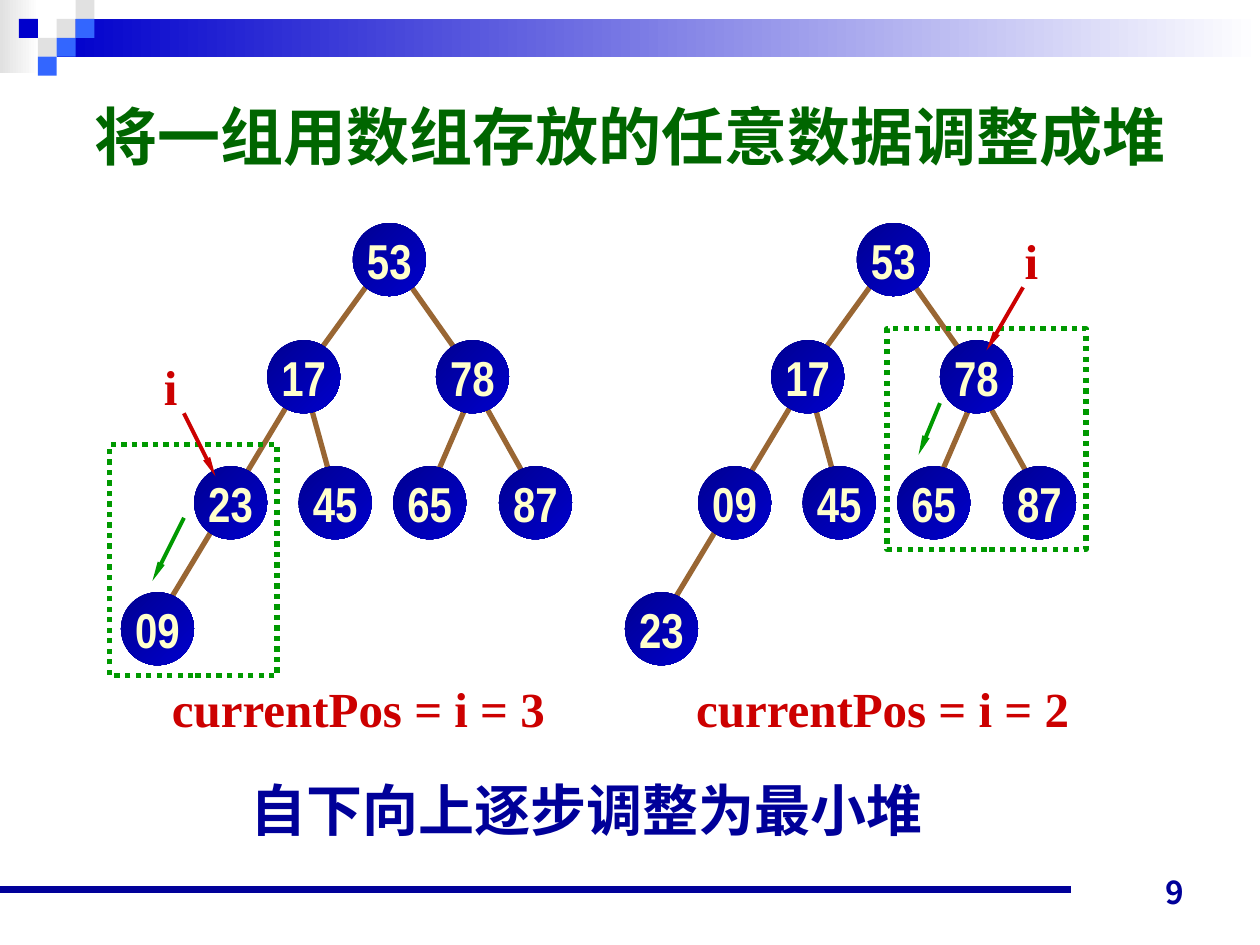
from dataclasses import dataclass

from lxml import etree
from pptx import Presentation
from pptx import util as u
from pptx.dml import color
from pptx.enum import dml, shapes, text
from pptx.oxml import ns

I = u.Inches
RECT = shapes.MSO_SHAPE.RECTANGLE
OVAL = shapes.MSO_SHAPE.OVAL
LEFT, MID, RIGHT = text.PP_ALIGN.LEFT, text.PP_ALIGN.CENTER, text.PP_ALIGN.RIGHT


@dataclass(frozen=True)
class Theme:
    navy: str = "000099"
    deep: str = "000092"
    blue: str = "0000CC"
    sky: str = "3366FF"
    gray: str = "E1E1E1"
    white: str = "FFFFFF"
    cream: str = "FFFFCC"
    brown: str = "996633"
    red: str = "CC0000"
    green: str = "009900"
    dark: str = "006600"
    serif: str = "Times New Roman"
    sans: str = "Arial"
    slim: str = "Arial Narrow"
    cjk: str = "Noto Sans CJK JP"
    head: int = 36
    note: int = 32
    label: int = 28
    page: int = 18


T = Theme()


def rgb(tone):
    return color.RGBColor.from_string(tone)


def write(frame, words, size, face, tone, align=LEFT, wrap=True):
    frame.word_wrap = wrap
    frame.auto_size = text.MSO_AUTO_SIZE.NONE
    frame.vertical_anchor = text.MSO_ANCHOR.MIDDLE
    frame.text = words
    para = frame.paragraphs[0]
    para.alignment = align
    font = para.font
    font.size, font.name, font.bold = u.Pt(size), face, True
    font.color.rgb = rgb(tone)


def label(slide, box, words, *style, **opts):
    frame = slide.shapes.add_textbox(*map(I, box)).text_frame
    write(frame, words, *style, **opts)
    return frame


def block(slide, kind, box, tones=(), angle=0):
    shape = slide.shapes.add_shape(kind, *map(I, box))
    shape.shadow.inherit = False
    shape.line.fill.background()
    fill = shape.fill
    if not tones:
        fill.background()
    elif len(tones) == 1:
        fill.solid()
        fill.fore_color.rgb = rgb(tones[0])
    else:
        fill.gradient()
        fill.gradient_angle = angle
        for stop, tone in zip(fill.gradient_stops, tones):
            stop.color.rgb = rgb(tone)
    return shape


def line(slide, ends, tone, width, arrow=False):
    link = slide.shapes.add_connector(shapes.MSO_CONNECTOR.STRAIGHT, *map(I, ends))
    link.line.color.rgb = rgb(tone)
    link.line.width = u.Pt(width)
    props = link.element.spPr
    if arrow:
        etree.SubElement(link.line._get_or_add_ln(), ns.qn("a:tailEnd"),
                         type="triangle", w="sm", len="lg")
    etree.SubElement(props, ns.qn("a:effectLst"))


def shift(ends, x, y):
    x1, y1, x2, y2 = ends
    return x + x1, y + y1, x + x2, y + y2


def banner(slide, box):
    x, y, wide = box
    cell = 0.15
    block(slide, RECT, (x, y, 0.31, 0.58), (T.gray, T.white))
    block(slide, RECT, (x + 0.45, y + cell, wide - 0.45, 2 * cell), (T.blue, T.white))
    tiles = [(3, 1, T.gray), (4, 0, T.gray), (4, 1, T.sky), (2, 2, T.gray),
             (1, 1, T.blue), (3, 2, T.sky), (2, 3, T.sky)]
    for col, row, tone in tiles:
        block(slide, RECT, (x + col * cell, y + row * cell, cell, cell), (tone,))


def heading(slide, box, words):
    title = slide.shapes.title
    title.left, title.top, title.width, title.height = map(I, box)
    write(title.text_frame, words, T.head, T.sans, T.dark)


def tree(slide, box, values):
    x, y = box
    edges = [(2.83, 1.34, 3.25, 2.09), (2.75, 1.43, 2.5, 2.01),
             (2.25, 0.43, 2.66, 1.01), (1.5, 1.43, 1.66, 2.01),
             (2, 0.43, 1.58, 1.01), (1.33, 1.43, 0.33, 3.09)]
    spots = [(1.84, 0), (1.16, 0.93), (2.5, 0.93), (0.58, 1.93),
             (1.41, 1.93), (2.16, 1.93), (3, 1.93), (0, 2.93)]
    for ends in edges:
        line(slide, shift(ends, x, y), T.brown, 3)
    for (dx, dy), value in zip(spots, values):
        node = block(slide, OVAL, (x + dx, y + dy, 0.58, 0.58), (T.deep, T.blue), 315)
        write(node.text_frame, value, T.label, T.slim, T.cream, MID, wrap=False)


def focus(slide, box, spot, point, swap):
    x, y = box[:2]
    frame = block(slide, RECT, box)
    frame.line.color.rgb = rgb(T.green)
    frame.line.width = u.Pt(3)
    frame.line.dash_style = dml.MSO_LINE.ROUND_DOT
    line(slide, shift(point, x, y), T.red, 2.25, arrow=True)
    line(slide, shift(swap, x, y), T.green, 2.25, arrow=True)
    label(slide, (x + spot[0], y + spot[1], 0.31, 0.57), "i",
          T.label, T.serif, T.red, MID, wrap=False)


def footer(slide, box, page):
    x, y, wide = box
    line(slide, (x, y, x + wide, y), T.navy, 4.5)
    frame = label(slide, (x + 7.17, y - 0.28, 2.33, 0.5), page,
                  T.page, T.cjk, T.navy, RIGHT)
    frame.vertical_anchor = text.MSO_ANCHOR.BOTTOM


def main():
    deck = Presentation()
    deck.slide_width, deck.slide_height = I(10), I(7.5)
    slide = deck.slides.add_slide(deck.slide_layouts[5])
    banner(slide, (0, 0, 10))
    heading(slide, (0.65, 0.52, 9, 1.1), "将一组用数组存放的任意数据调整成堆")
    tree(slide, (0.96, 1.77), ["53", "17", "78", "23", "45", "65", "87", "09"])
    tree(slide, (4.96, 1.77), ["53", "17", "78", "09", "45", "65", "87", "23"])
    focus(slide, (0.87, 3.53, 1.33, 1.83), (0.33, -0.75),
          (0.59, -0.25, 0.84, 0.25), (0.59, 0.58, 0.34, 1.08))
    focus(slide, (7.04, 2.61, 1.58, 1.75), (0.99, -0.83),
          (1.08, -0.33, 0.79, 0.17), (0.42, 0.59, 0.25, 1))
    for x, pos in [(1.26, 3), (5.42, 2)]:
        label(slide, (x, 5.33, 3.17, 0.57), f"currentPos = i = {pos}",
              T.label, T.serif, T.red, MID, wrap=False)
    label(slide, (1.89, 6.11, 6.79, 0.63), "自下向上逐步调整为最小堆",
          T.note, T.serif, T.navy)
    footer(slide, (0, 7.06, 8.5), "9")
    deck.save("out.pptx")


if __name__ == "__main__":
    main()
